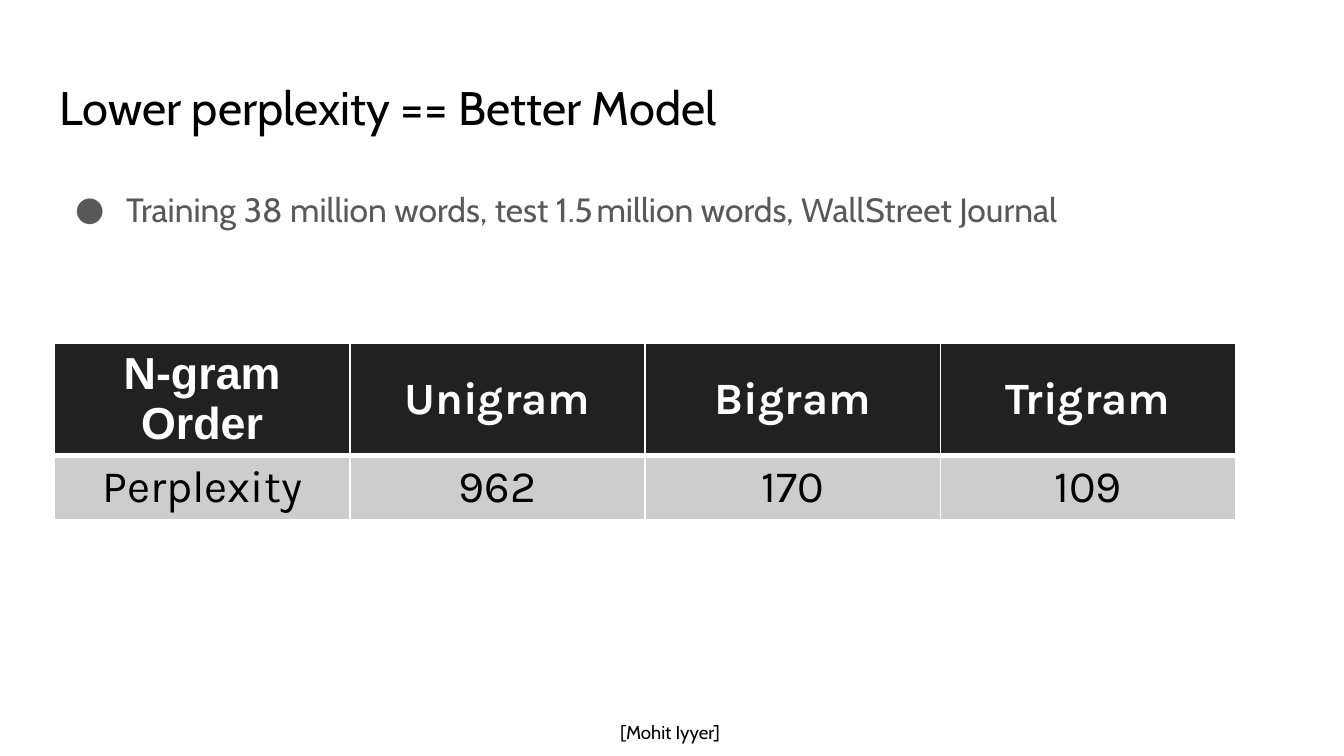
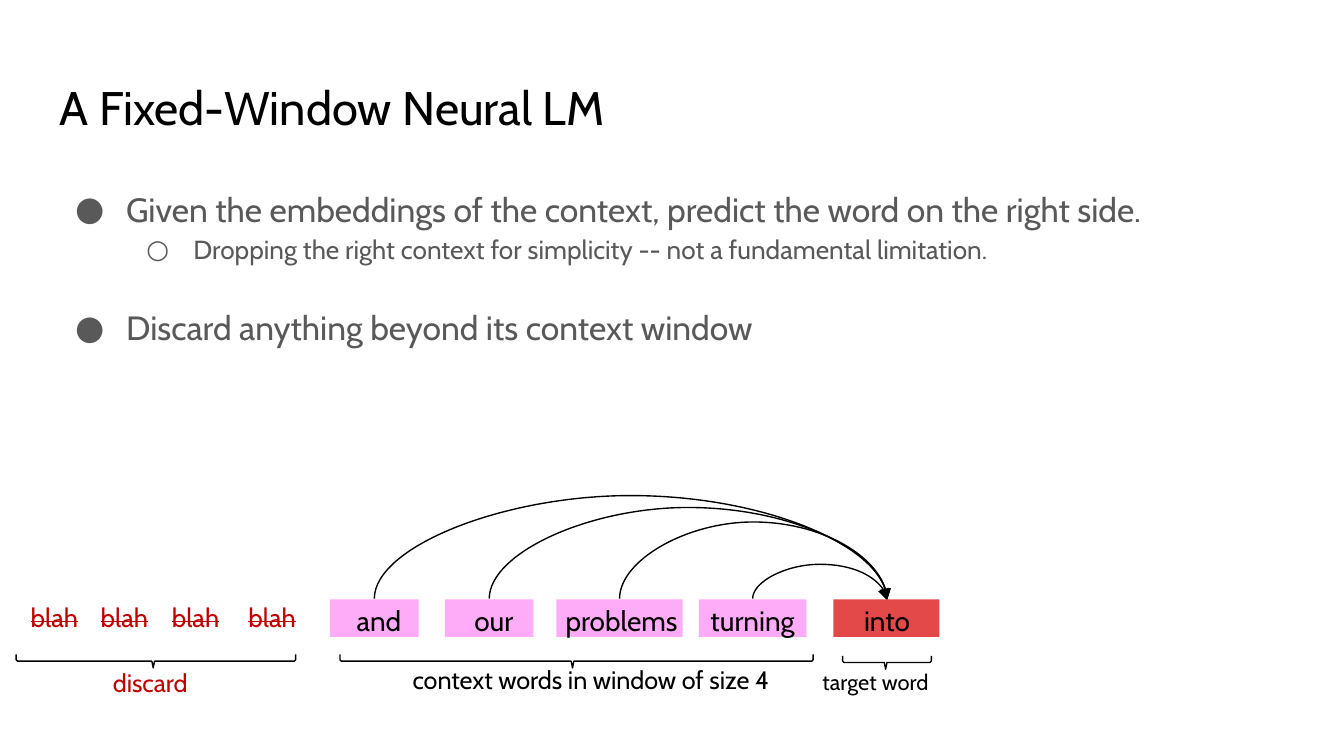
from dataclasses import dataclass

from lxml.etree import SubElement
from pptx import Presentation
from pptx.dml.color import RGBColor
from pptx.enum.shapes import MSO_CONNECTOR, MSO_SHAPE
from pptx.enum.text import MSO_ANCHOR, PP_ALIGN
from pptx.oxml import parse_xml
from pptx.oxml.ns import nsdecls, qn
from pptx.util import Inches, Pt


@dataclass(frozen=True)
class Theme:
    font: str = "Cabin"
    table_font: str = "Karla"
    black: str = "000000"
    white: str = "FFFFFF"
    gray: str = "595959"
    red: str = "C00000"
    pink: str = "FFACF8"
    target: str = "E44949"
    head: str = "212121"
    row: str = "CDCDCD"
    title: float = 25.2
    cell: float = 24
    body: float = 18
    word: float = 15
    sub: float = 14
    label: float = 13.5
    small: float = 11.7
    credit: float = 10


T = Theme()


def grid(*cells):
    """Lengths in grid cells; the slide is 100 columns by 56.25 rows."""
    return [round(c * Inches(0.1)) for c in cells]


def write(tf, text, size=T.body, color=T.black, font=T.font, bold=False, strike=False,
          align=PP_ALIGN.LEFT, bullet=None, level=0, left=0, hang=0, tabs=(),
          spacing=None, before=None, inset=None):
    """Add one formatted paragraph to a text frame."""
    tf.word_wrap = True
    if inset is not None:
        (tf.margin_left, tf.margin_top,
         tf.margin_right, tf.margin_bottom) = grid(*inset)
    p = tf.add_paragraph() if tf.text else tf.paragraphs[0]
    p.level = level
    p.alignment = align
    pPr = p._p.get_or_add_pPr()
    if bullet:
        pPr.set("marL", str(Inches(left)))
        pPr.set("indent", str(Inches(-hang)))
        SubElement(pPr, qn("a:buFont")).set("typeface", font)
        SubElement(pPr, qn("a:buChar")).set("char", bullet)
    if tabs:
        stops = SubElement(pPr, qn("a:tabLst"))
        for pos in tabs:
            tab = SubElement(stops, qn("a:tab"))
            tab.set("pos", str(Inches(pos)))
            tab.set("algn", "l")
    if spacing:
        p.line_spacing = spacing
    if before:
        p.space_before = Pt(before)
    r = p.add_run()
    r.text = text
    r.font.name, r.font.size, r.font.bold = font, Pt(size), bold
    r.font.color.rgb = RGBColor.from_string(color)
    if strike:
        r._r.get_or_add_rPr().set("strike", "sngStrike")


prs = Presentation()
prs.slide_width, prs.slide_height = grid(100, 56.25)

# Title and bullets of both slides
MAIN = dict(size=T.body, bullet="●", left=0.5, hang=0.38)
SUB = dict(size=T.sub, bullet="○", left=1, hang=0.35, level=1)
slides = [
    ("Lower perplexity == Better Model",
     [("Training 38 million words, test 1.5\tmillion words, Wall\tStreet Journal", MAIN)]),
    ("A Fixed-Window Neural LM",
     [("Given the embeddings of the context, predict the word on the right side.", MAIN),
      ("Dropping the right context for simplicity -- not a fundamental limitation.", SUB),
      ("Discard anything beyond its context window", dict(MAIN, before=19.2))]),
]
for title, bullets in slides:
    s = prs.slides.add_slide(prs.slide_layouts[6])
    tf = s.shapes.add_textbox(*grid(3.45, 4.85, 93.2, 6.3)).text_frame
    write(tf, title, size=T.title, inset=(1, 1, 1, 1))
    tf = s.shapes.add_textbox(*grid(3.4, 12.6, 93.2, 37.4)).text_frame
    for text, style in bullets:
        write(tf, text, color=T.gray, spacing=1.15, inset=(1, 1, 1, 1), **style)
perplexity, window = prs.slides

# Slide 1: perplexity table
rows = [["N-gram Order", "Unigram", "Bigram", "Trigram"],
        ["Perplexity", "962", "170", "109"]]
table = perplexity.shapes.add_table(2, 4, *grid(4.05, 25.5, 87.9, 13.1)).table
table.first_row = table.horz_banding = False
for i, (values, height) in enumerate(zip(rows, grid(8.3, 4.8))):
    table.rows[i].height = height
    is_head = i == 0
    for j, value in enumerate(values):
        cell = table.cell(i, j)
        cell.vertical_anchor = MSO_ANCHOR.MIDDLE
        cell.margin_top = cell.margin_bottom = Inches(0.02)
        write(cell.text_frame, value, size=T.cell, bold=is_head, align=PP_ALIGN.CENTER,
              color=T.white if is_head else T.black,
              font="Arial" if is_head and j == 0 else T.table_font)
        tcPr = cell._tc.get_or_add_tcPr()
        for side in "LRTB":
            thick = side == ("B" if is_head else "T")
            tcPr.append(parse_xml(
                f'<a:ln{side} {nsdecls("a")} w="{Pt(3 if thick else 1)}"><a:solidFill>'
                f'<a:srgbClr val="{T.white}"/></a:solidFill></a:ln{side}>'))
        cell.fill.solid()
        cell.fill.fore_color.rgb = RGBColor.from_string(T.head if is_head else T.row)

# Slide 1: credit
tf = perplexity.shapes.add_textbox(*grid(20.7, 53.15, 58.3, 2.7)).text_frame
write(tf, "[Mohit Iyyer]", size=T.credit, align=PP_ALIGN.CENTER)

# Slide 2: word boxes, each with its left inset and the rise of its arc
words = [("and", 24.55, 6.6, 0.7, 7.9), ("our", 33.1, 6.6, 0.7, 7),
         ("problems", 41.4, 9.4, 0.3, 5.9), ("turning", 52, 8, 0, 2.7),
         ("into", 62, 7.9, 0.1, None)]
TOP, TARGET_X, THIN = 44.6, 66, 0.1
for word, x, w, pad, rise in words:
    sp = window.shapes.add_shape(MSO_SHAPE.RECTANGLE, *grid(x, TOP, w, 2.8))
    sp.shadow.inherit = False
    sp.fill.solid()
    sp.fill.fore_color.rgb = RGBColor.from_string(T.pink if rise else T.target)
    sp.line.fill.background()
    sp.text_frame.vertical_anchor = MSO_ANCHOR.TOP
    write(sp.text_frame, word, size=T.word, align=PP_ALIGN.CENTER, inset=(pad, 0.3, 0, 0))
    if not rise:
        continue
    # A thin upright connector turned a quarter arches from the target to the word
    start = x + w / 2
    span, mid = TARGET_X - start, (TARGET_X + start) / 2
    arc = window.shapes.add_connector(
        MSO_CONNECTOR.CURVE, *grid(mid - THIN / 2, TOP - span / 2,
                                   mid + THIN / 2, TOP + span / 2))
    arc.line.color.rgb = RGBColor.from_string(T.black)
    arc.line.width = Pt(0.75)
    spPr = arc._element.spPr
    spPr.xfrm.set("rot", str(270 * 60000))
    spPr.xfrm.set("flipV", "1")
    guide = SubElement(spPr.find(qn("a:prstGeom")).find(qn("a:avLst")), qn("a:gd"))
    guide.set("name", "adj1")
    guide.set("fmla", f"val {round(rise / THIN * 100000)}")
    SubElement(arc.line._get_or_add_ln(), qn("a:headEnd")).set("type", "triangle")
    SubElement(spPr, qn("a:effectLst"))

# Slide 2: braces (left, tip, right, top) and their labels (left, top, width)
braces = [("discard", (1.2, 11.4, 22, 48.7), (8.4, 49.5, 8), T.label, T.red),
          ("context words in window of size 4", (25.3, 42.6, 60.5, 48.7),
           (30.7, 49.3, 29), T.label, T.black),
          ("target word", (62.7, 65.9, 69.3, 48.8), (61.2, 49.3, 10), T.small, T.black)]
for label, (left, tip, right, top), (x, y, w), size, color in braces:
    points = [(left, top), (left, top + 0.4), (left + 0.1, top + 0.5),
              (tip - 0.1, top + 0.5), (tip, top + 1), (tip + 0.1, top + 0.5),
              (right - 0.1, top + 0.5), (right, top + 0.4), (right, top)]
    outline = window.shapes.build_freeform(*grid(*points[0]))
    outline.add_line_segments([grid(*pt) for pt in points[1:]], close=False)
    sp = outline.convert_to_shape()
    sp.shadow.inherit = False
    sp.fill.background()
    sp.line.color.rgb = RGBColor.from_string(T.black)
    sp.line.width = Pt(0.75)
    tf = window.shapes.add_textbox(*grid(x, y, w, 2.5)).text_frame
    write(tf, label, size=size, color=color, spacing=Pt(15.8), inset=(0, 0.2, 0, 0))

# Slide 2: discarded words
tf = window.shapes.add_textbox(*grid(1.3, 44.25, 22.8, 3.4)).text_frame
write(tf, "blah\tblah\tblah\tblah", size=T.sub, color=T.red, strike=True,
      tabs=(0.52, 1.05, 1.62))

prs.save("out.pptx")
